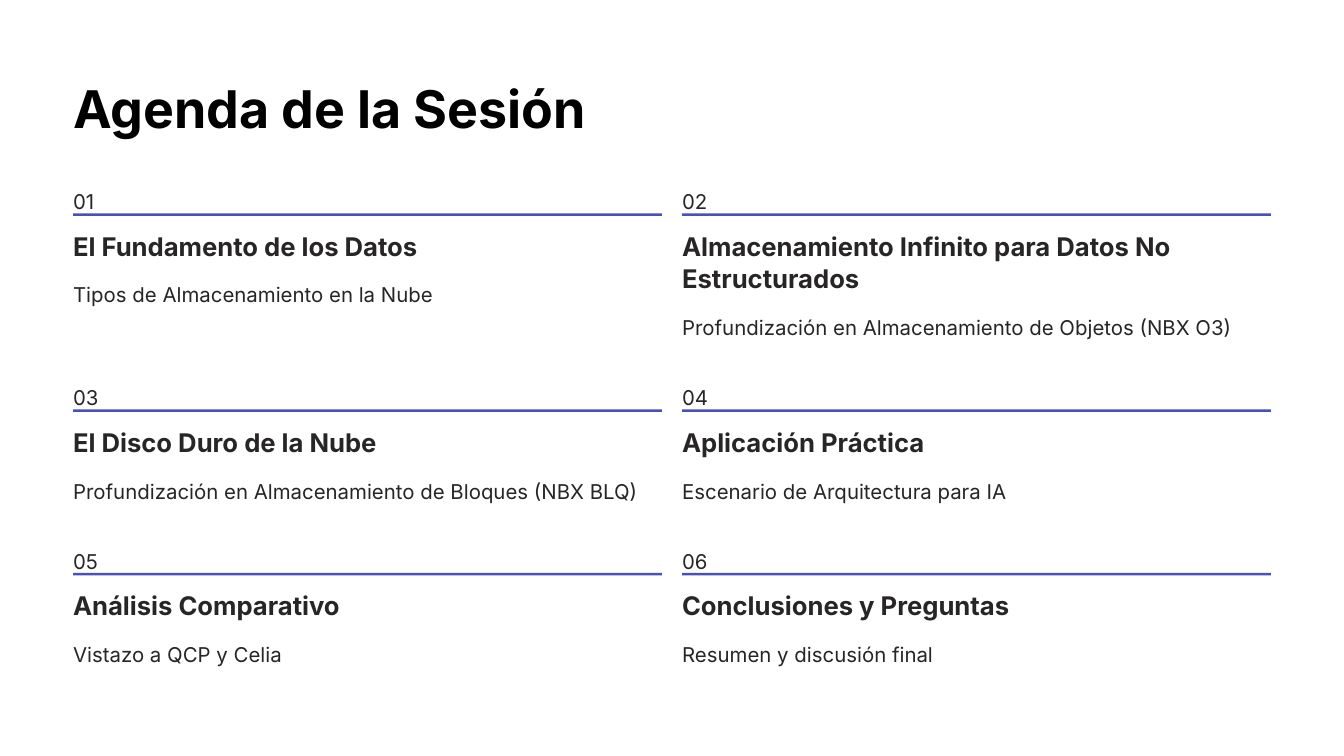
from pptx import Presentation
from pptx import util as u
from pptx.dml import color
from pptx.enum import shapes, text

COLUMNS, ROWS = 160, 90
LEFT, TOP = 8.7, 21.5
COLUMN_PITCH, COLUMN_WIDTH = 72.5, 70.1
ITEM_HEIGHT, HEADING_LINE = 19.45, 3.9

AGENDA = [
    [("El Fundamento de los Datos", 41.6, 1,
      "Tipos de Almacenamiento en la Nube"),
     ("Almacenamiento Infinito para Datos No Estructurados", COLUMN_WIDTH, 2,
      "Profundización en Almacenamiento de Objetos (NBX O3)")],
    [("El Disco Duro de la Nube", 36.7, 1,
      "Profundización en Almacenamiento de Bloques (NBX BLQ)"),
     ("Aplicación Práctica", 31, 1, "Escenario de Arquitectura para IA")],
    [("Análisis Comparativo", 32.3, 1, "Vistazo a QCP y Celia"),
     ("Conclusiones y Preguntas", 39.6, 1, "Resumen y discusión final")],
]


def paint(value):
    return color.RGBColor.from_string(value)


class AgendaPage:
    font = "Inter"
    title_color = "000000"
    ink = "272525"
    accent = "4950BC"
    background = "FFFFFF"

    def __init__(self, deck):
        self.column = deck.slide_width / COLUMNS
        self.row = deck.slide_height / ROWS
        self.page = deck.slides.add_slide(deck.slide_layouts[5])
        fill = self.page.background.fill
        fill.solid()
        fill.fore_color.rgb = paint(self.background)

    def place(self, left, top, width, height):
        return (u.Emu(round(left * self.column)), u.Emu(round(top * self.row)),
                u.Emu(round(width * self.column)), u.Emu(round(height * self.row)))

    def set_words(self, box, words, size, spacing, ink, bold=False, wrap=False):
        frame = box.text_frame
        frame.margin_left = frame.margin_right = 0
        frame.margin_top = frame.margin_bottom = 0
        frame.auto_size = text.MSO_AUTO_SIZE.NONE
        frame.word_wrap = wrap
        frame.vertical_anchor = text.MSO_ANCHOR.TOP
        para = frame.paragraphs[0]
        para.alignment = text.PP_ALIGN.LEFT
        para.line_spacing = u.Pt(spacing)
        span = para.add_run()
        span.text = words
        span.font.name = self.font
        span.font.size = u.Pt(size)
        span.font.bold = bold
        span.font.color.rgb = paint(ink)

    def title(self, words, *area):
        box = self.page.shapes.title
        box.left, box.top, box.width, box.height = self.place(*area)
        self.set_words(box, words, 44.5, 55.5, self.title_color, bold=True)

    def label(self, words, *area):
        box = self.page.shapes.add_textbox(*self.place(*area))
        self.set_words(box, words, 17.5, 28.5, self.ink)

    def heading(self, words, lines, *area):
        box = self.page.shapes.add_textbox(*self.place(*area))
        self.set_words(box, words, 22, 27.5, self.ink, bold=True, wrap=lines > 1)

    def rule(self, *area):
        bar = self.page.shapes.add_shape(
            shapes.MSO_SHAPE.RECTANGLE, *self.place(*area))
        bar.shadow.inherit = False
        bar.fill.solid()
        bar.fill.fore_color.rgb = paint(self.accent)
        bar.line.fill.background()

    def item(self, number, left, top, heading, width, lines, detail):
        extra = (lines - 1) * HEADING_LINE
        self.label(f"{number:02}", left, top, 2.5, 3.1)
        self.rule(left, top + 3.9, COLUMN_WIDTH, 0.3)
        self.heading(heading, lines, left, top + 5.8, width, lines * HEADING_LINE)
        self.label(detail, left, top + 11.1 + extra, COLUMN_WIDTH, 4)


def main():
    deck = Presentation()
    deck.slide_width, deck.slide_height = u.Inches(16), u.Inches(9)
    agenda = AgendaPage(deck)
    agenda.title("Agenda de la Sesión", LEFT, 8.8, 62, 7.8)
    top, number = TOP, 1
    for pair in AGENDA:
        for position, (heading, width, lines, detail) in enumerate(pair):
            left = LEFT + position * COLUMN_PITCH
            agenda.item(number, left, top, heading, width, lines, detail)
            number += 1
        tallest = max(lines for _, _, lines, _ in pair)
        top += ITEM_HEIGHT + (tallest - 1) * HEADING_LINE
    deck.save("out.pptx")


if __name__ == "__main__":
    main()
